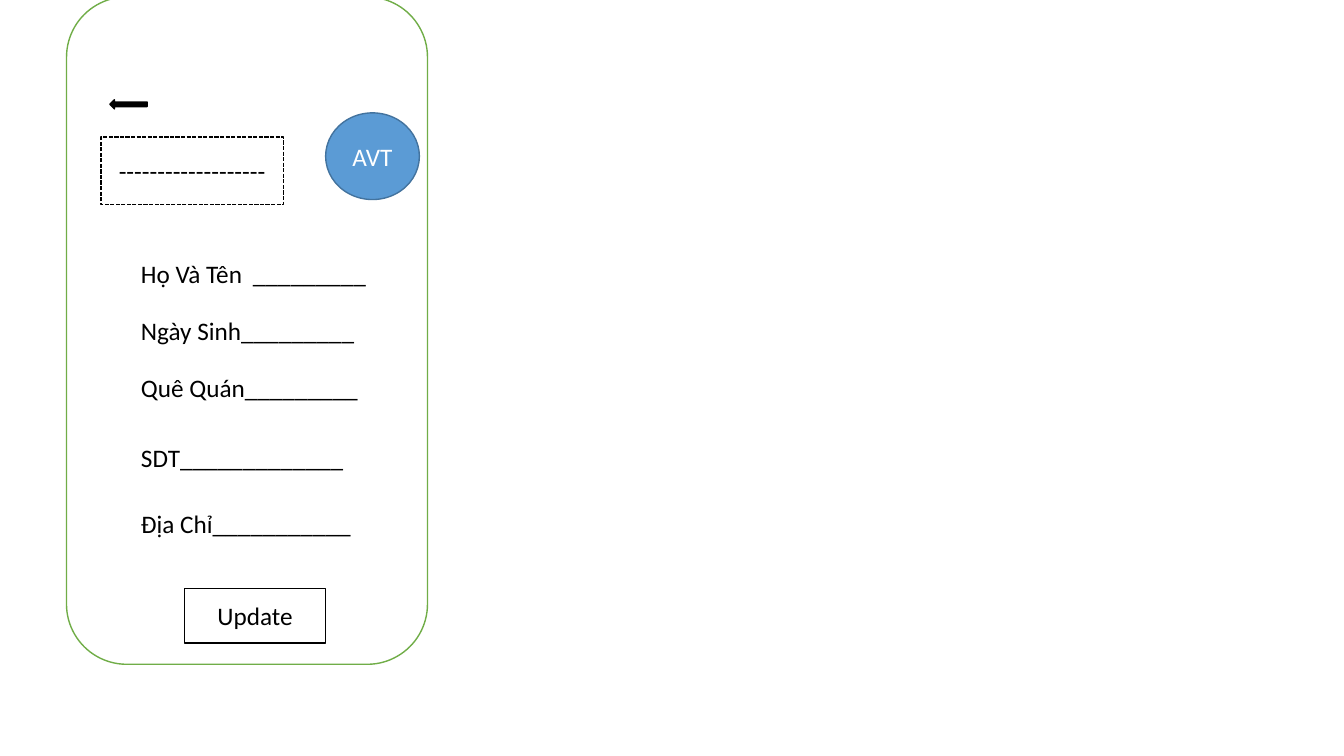
import pptx
import pptx.util
import pptx.dml.color
import pptx.enum.dml
import pptx.enum.shapes
import pptx.enum.text
import pptx.oxml.ns
import lxml.etree

Inches = pptx.util.Inches
Kind = pptx.enum.shapes.MSO_SHAPE
Align = pptx.enum.text.PP_ALIGN
Anchor = pptx.enum.text.MSO_ANCHOR
HUES = {
    "white": "FFFFFF",
    "black": "000000",
    "green": "70AD47",
    "blue": "5B9BD5",
    "navy": "43739E",
}


def hue(name):
    return pptx.dml.color.RGBColor.from_string(HUES[name])


def write(frame, text, size=18, font="Calibri", color="black",
          align=Align.LEFT, anchor=Anchor.MIDDLE, tab=None):
    frame.word_wrap = True
    frame.vertical_anchor = anchor
    para = frame.paragraphs[0]
    para.alignment = align
    if tab:
        qn = pptx.oxml.ns.qn
        props = para._p.get_or_add_pPr()
        stops = lxml.etree.SubElement(props, qn("a:tabLst"))
        lxml.etree.SubElement(stops, qn("a:tab"), pos=str(Inches(tab)), algn="l")
    run = para.add_run()
    run.text = text
    run.font.size = pptx.util.Pt(size)
    run.font.name = font
    run.font.color.rgb = hue(color)


class Screen:
    def __init__(self, slide):
        self.slide = slide
        self.width = pptx.util.Pt(1)

    def shape(self, kind, box, fill="white", line="black", dash=None,
              text=None, **style):
        item = self.slide.shapes.add_shape(kind, *map(Inches, box))
        item.shadow.inherit = False
        item.fill.solid()
        item.fill.fore_color.rgb = hue(fill)
        if line:
            item.line.color.rgb = hue(line)
            item.line.width = self.width
            if dash:
                item.line.dash_style = dash
        else:
            item.line.fill.background()
        if text:
            write(item.text_frame, text, **style)

    def label(self, box, text, **style):
        item = self.slide.shapes.add_textbox(*map(Inches, box))
        write(item.text_frame, text, anchor=Anchor.TOP, **style)


def main():
    deck = pptx.Presentation()
    deck.slide_width = Inches(13.33)
    deck.slide_height = Inches(7.5)
    screen = Screen(deck.slides.add_slide(deck.slide_layouts[6]))

    screen.shape(Kind.ROUNDED_RECTANGLE, (0.66, -0.03, 3.58, 6.62), line="green")
    screen.shape(Kind.OVAL, (3.23, 1.12, 0.93, 0.86), fill="blue", line="navy",
                 text="AVT", color="white", align=Align.CENTER)

    left = 1.3
    names = [("Họ Và Tên\t_________", 1.11), ("Ngày Sinh_________", None),
             ("Quê Quán_________", None)]
    for row, (text, tab) in enumerate(names):
        screen.label((left, 2.51 + row * 0.565, 2.5, 0.4), text, tab=tab)

    screen.shape(Kind.RECTANGLE, (1, 1.36, 1.81, 0.67),
                 dash=pptx.enum.dml.MSO_LINE.SQUARE_DOT,
                 text="-------------------", align=Align.CENTER)
    for top, high, text in [(4.35, 0.38, "SDT_____________"),
                            (4.91, 0.57, "Địa Chỉ___________")]:
        screen.shape(Kind.RECTANGLE, (left, top, 2.3, high), line=None, text=text)

    screen.shape(Kind.LEFT_ARROW, (1.09, 0.99, 0.37, 0.09), fill="black")
    screen.shape(Kind.RECTANGLE, (1.83, 5.84, 1.4, 0.54),
                 text="Update", align=Align.CENTER)
    deck.save("out.pptx")


if __name__ == "__main__":
    main()
